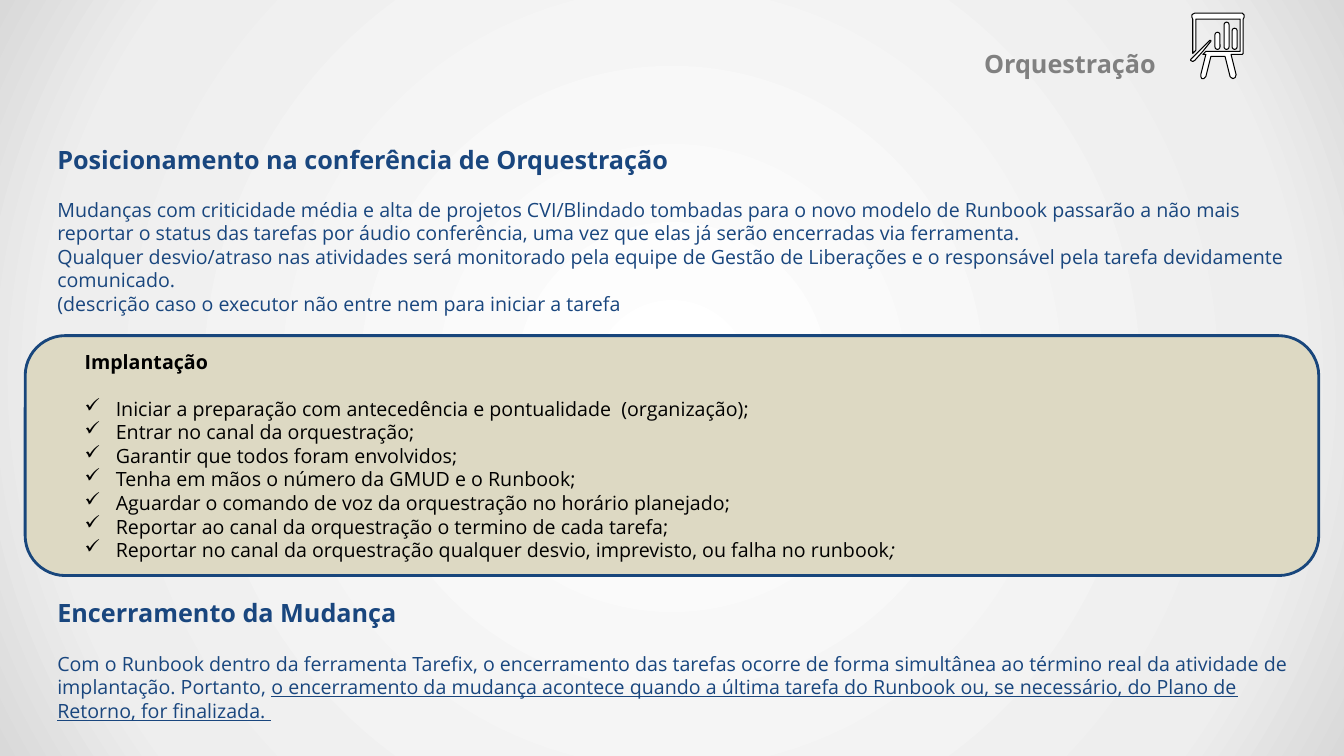
import dataclasses
import typing

import pptx
import pptx.dml.color
import pptx.enum.shapes
import pptx.enum.text
import pptx.oxml
import pptx.oxml.ns
import pptx.util

Inches = pptx.util.Inches
Pt = pptx.util.Pt
FONT = "Open Sans"
NAVY = "19467E"
LINE_RATIO = 1.2
BLANK_LINE = Pt(14 * LINE_RATIO)
CHECK_INDENT = Inches(0.31)


@dataclasses.dataclass
class Run:
    text: str
    format: dict[str, bool] = dataclasses.field(default_factory=dict)


@dataclasses.dataclass
class Line:
    runs: list[Run]
    size: int = 14
    bold: bool = False
    gap: int = 0
    check: bool = False


@dataclasses.dataclass
class TextBlock:
    left: float
    top: float
    width: float
    height: float
    color: str
    lines: list[Line]
    justified: bool = False


@dataclasses.dataclass
class Bar:
    left: float
    top: float


def rgb(color: str) -> pptx.dml.color.RGBColor:
    return pptx.dml.color.RGBColor.from_string(color)


def heading(text: str, size: int = 18) -> Line:
    return Line([Run(text)], size, bold=True, gap=BLANK_LINE)


def check(*runs: Run) -> Line:
    return Line(list(runs), check=True)


def style_shape(shape: typing.Any, fill: str, line: str, width: float) -> None:
    shape.shadow.inherit = False
    shape.fill.solid()
    shape.fill.fore_color.rgb = rgb(fill)
    shape.line.color.rgb = rgb(line)
    shape.line.width = Pt(width)


def add_check_mark(paragraph: typing.Any) -> None:
    properties = paragraph._p.get_or_add_pPr()
    properties.set("marL", str(CHECK_INDENT))
    properties.set("indent", str(-CHECK_INDENT))
    bullet = pptx.oxml.parse_xml(f'<a:buChar {pptx.oxml.ns.nsdecls("a")} char="✓"/>')
    properties.append(bullet)


def write_block(shape: typing.Any, block: TextBlock) -> None:
    shape.left, shape.top = Inches(block.left), Inches(block.top)
    shape.width, shape.height = Inches(block.width), Inches(block.height)
    frame = shape.text_frame
    frame.word_wrap = True
    frame.auto_size = pptx.enum.text.MSO_AUTO_SIZE.NONE
    frame.vertical_anchor = pptx.enum.text.MSO_ANCHOR.TOP
    alignment = pptx.enum.text.PP_ALIGN
    for index, line in enumerate(block.lines):
        paragraph = frame.add_paragraph() if index else frame.paragraphs[0]
        paragraph.alignment = alignment.JUSTIFY if block.justified else alignment.LEFT
        paragraph.line_spacing = Pt(line.size * LINE_RATIO)
        paragraph.space_before = Pt(0)
        paragraph.space_after = line.gap
        if line.check:
            add_check_mark(paragraph)
        for part in line.runs:
            run = paragraph.add_run()
            run.text = part.text
            run.font.color.rgb = rgb(block.color)
            values = {"name": FONT, "size": Pt(line.size), "bold": line.bold} | part.format
            for name, value in values.items():
                setattr(run.font, name, value)


def set_radial_background(slide: typing.Any, stops: dict[int, str]) -> None:
    slide.background.fill.gradient()
    gradient = slide.element.xpath(".//p:bg//a:gradFill")[0]
    stop_xml = "".join(
        f'<a:gs pos="{position * 1000}"><a:srgbClr val="{color}"/></a:gs>'
        for position, color in stops.items()
    )
    radial = pptx.oxml.parse_xml(
        f'<a:gradFill {pptx.oxml.ns.nsdecls("a")} rotWithShape="1"><a:gsLst>{stop_xml}</a:gsLst>'
        '<a:path path="circle"><a:fillToRect l="50000" t="50000" r="50000" b="50000"/></a:path>'
        "</a:gradFill>"
    )
    gradient.getparent().replace(gradient, radial)


def add_outline(slide: typing.Any, points: list[tuple[int, int]]) -> None:
    builder = slide.shapes.build_freeform(*points[0], scale=float(Inches(0.01)))
    builder.add_line_segments(points[1:], close=True)
    style_shape(builder.convert_to_shape(), "FFFFFF", "000000", 0)


def add_bar(slide: typing.Any, bar: Bar, bottom: float = 0.49) -> None:
    shape = slide.shapes.add_shape(
        pptx.enum.shapes.MSO_SHAPE.ROUNDED_RECTANGLE,
        Inches(bar.left), Inches(bar.top), Inches(0.05), Inches(bottom - bar.top),
    )
    shape.adjustments[0] = 0.5
    style_shape(shape, "FFFFFF", "000000", 0)


EASEL = [
    (1185, 13), (1232, 13), (1234, 15), (1234, 17), (1233, 19), (1233, 53), (1232, 54),
    (1221, 54), (1226, 74), (1225, 77), (1223, 78), (1221, 77), (1220, 76), (1215, 56),
    (1201, 56), (1196, 76), (1194, 78), (1192, 78), (1191, 76), (1191, 74), (1196, 54),
    (1193, 54), (1196, 51), (1230, 51), (1230, 19), (1186, 19), (1186, 50), (1183, 53),
    (1183, 19), (1182, 17), (1182, 15), (1183, 14),
]
POINTER = [
    (1200, 40), (1201, 40), (1201, 41), (1193, 51), (1185, 60), (1183, 61),
    (1181, 60), (1181, 59), (1183, 57), (1190, 50), (1198, 42),
]
BARS = [Bar(12.05, 0.32), Bar(12.14, 0.22), Bar(12.22, 0.28)]

TITLE = TextBlock(9.66, 0.43, 2.29, 0.4, "808080", [Line([Run("Orquestração")], 18, True)])
BLOCKS = [
    TextBlock(0.47, 1.38, 12.44, 1.8, NAVY, [
        heading("Posicionamento na conferência de Orquestração "),
        Line([Run(
            "Mudanças com criticidade média e alta de projetos CVI/Blindado tombadas para o novo "
            "modelo de Runbook passarão a não mais reportar o status das tarefas por áudio "
            "conferência, uma vez que elas já serão encerradas via ferramenta. ")]),
        Line([Run(
            "Qualquer desvio/atraso nas atividades será monitorado pela equipe de Gestão de "
            "Liberações e o responsável pela tarefa devidamente comunicado. ")]),
        Line([Run("(descrição caso o executor não entre nem para iniciar a tarefa")]),
    ]),
    TextBlock(0.47, 5.88, 12.44, 1.35, NAVY, [
        heading("Encerramento da Mudança"),
        Line([
            Run("Com o Runbook dentro da ferramenta Tarefix, o encerramento das tarefas ocorre de "
                "forma simultânea ao término real da atividade de implantação. Portanto, "),
            Run("o encerramento da mudança acontece quando a última tarefa do Runbook ou, se "
                "necessário, do Plano de Retorno, for finalizada. ", {"underline": True}),
        ]),
    ]),
    TextBlock(0.74, 3.42, 12.45, 2.17, "000000", [
        heading("Implantação", 14),
        check(Run("Iniciar a preparação com antecedência e pontualidade  (organização);")),
        check(Run("Entrar no canal da orquestração;")),
        check(Run("Garantir que todos foram envolvidos;")),
        check(Run("Tenha em mãos o número da GMUD e o Runbook;")),
        check(Run("Aguardar o comando de voz da orquestração no horário planejado;")),
        check(Run("Reportar ao canal da orquestração o termino de cada tarefa;")),
        check(
            Run("Reportar no canal da orquestração qualquer desvio, imprevisto, ou falha no runbook"),
            Run(";", {"italic": True}),
        ),
    ], justified=True),
]

presentation = pptx.Presentation()
presentation.slide_width = Inches(13.33)
presentation.slide_height = Inches(7.5)
slide = presentation.slides.add_slide(presentation.slide_layouts[5])
set_radial_background(slide, {0: "FFFFFF", 81: "EEEEEE", 100: "D9D9D9"})
write_block(slide.shapes.title, TITLE)

panel = slide.shapes.add_shape(
    pptx.enum.shapes.MSO_SHAPE.ROUNDED_RECTANGLE,
    Inches(0.25), Inches(3.33), Inches(12.83), Inches(2.38),
)
style_shape(panel, "DDD9C3", "18467C", 2)

add_outline(slide, EASEL)
for bar in BARS:
    add_bar(slide, bar)
add_outline(slide, POINTER)

for block in BLOCKS:
    write_block(slide.shapes.add_textbox(0, 0, 0, 0), block)

presentation.save("out.pptx")
